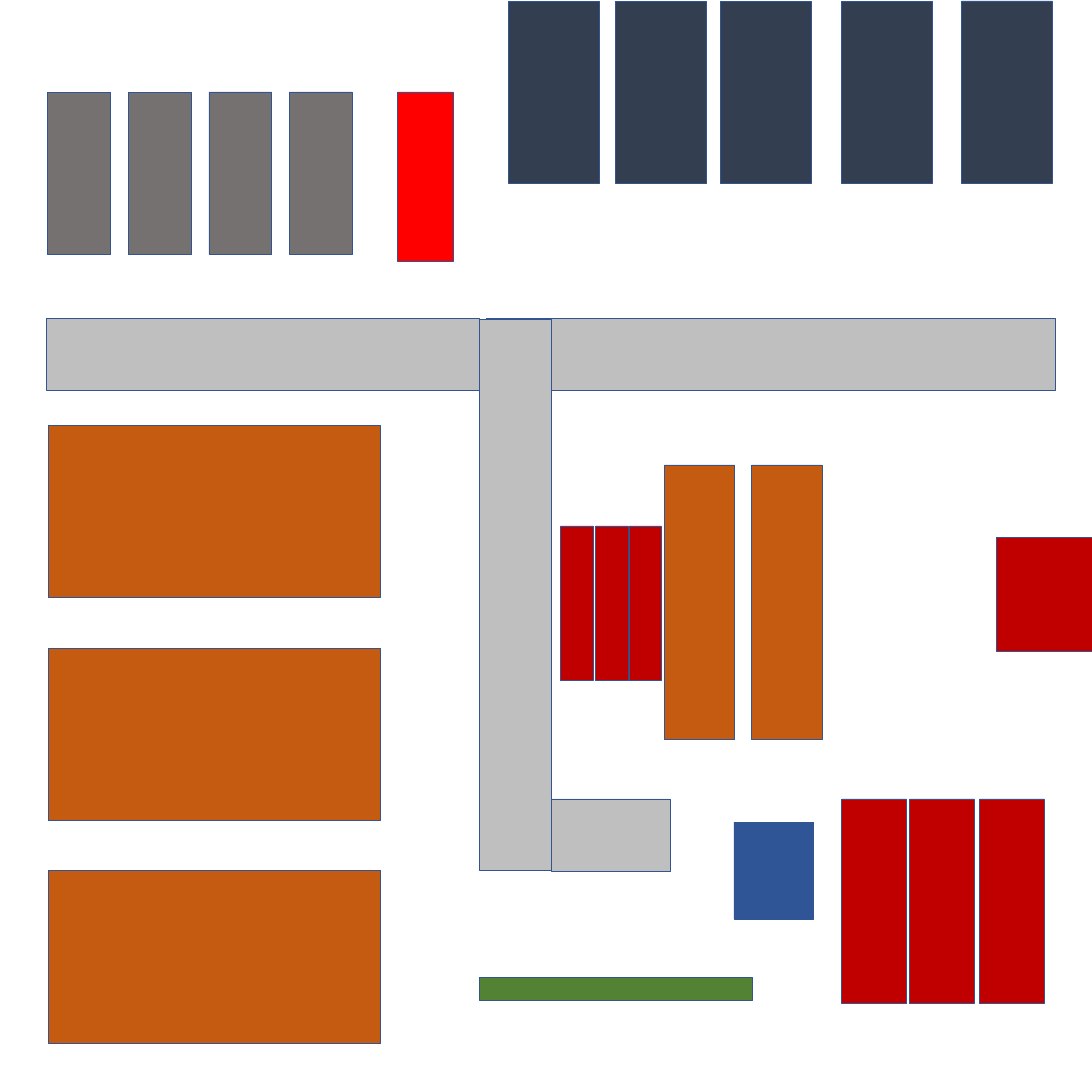
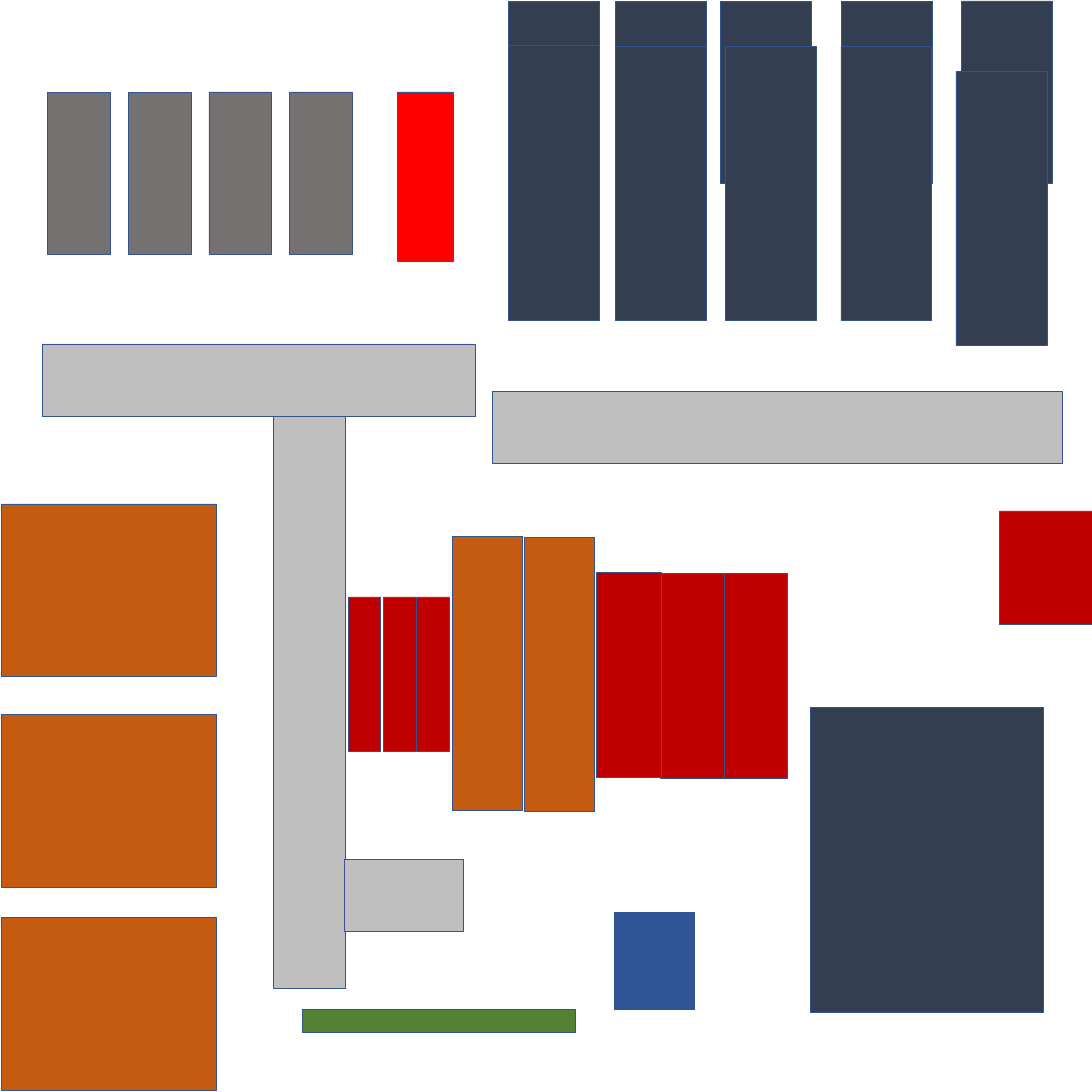
from pptx import Presentation
from pptx.dml.color import RGBColor
from pptx.enum.shapes import MSO_SHAPE
from pptx.util import Emu, Pt

RECTANGLE = MSO_SHAPE.RECTANGLE
PX = 9144
SLIDE_SIDE = 2400
BLANK_LAYOUT = 6

OUTLINE = RGBColor(0x32, 0x54, 0x91)
NAVY = RGBColor(0x33, 0x3F, 0x50)
ORANGE = RGBColor(0xC5, 0x5A, 0x11)
CRIMSON = RGBColor(0xC0, 0x00, 0x00)
RED = RGBColor(0xFF, 0x00, 0x00)
BLUE = RGBColor(0x2F, 0x55, 0x97)
GRAY = RGBColor(0x76, 0x71, 0x71)
GREEN = RGBColor(0x54, 0x82, 0x35)
AISLE_GRAY = RGBColor(0xBF, 0xBF, 0xBF)

NAVY_BAY = (200, 400)
DEEP_NAVY_BAY = (200, 603)
GRAY_BAY = (138, 357)
RED_BAY = (122, 372)
TALL_RACK = (155, 603)
NARROW_BAY = (71, 340)
WIDE_BAY = (142, 450)
DOCK = (210, 250)
BLUE_BOX = (175, 213)
GREEN_STRIP = (600, 50)
AISLE_WIDTH = 158
EAST_AISLE = (1252, AISLE_WIDTH)
WEST_AISLE = (951, AISLE_WIDTH)
SIDE_AISLE = (262, AISLE_WIDTH)


def px(value):
    return Emu(value * PX)


def add_blocks(slide, color, size, positions, rotation=0):
    width, height = size
    for left, top in positions:
        block = slide.shapes.add_shape(
            RECTANGLE, px(left), px(top), px(width), px(height))
        block.rotation = rotation
        block.shadow.inherit = False
        block.fill.solid()
        block.fill.fore_color.rgb = color
        block.line.color.rgb = OUTLINE
        block.line.width = Pt(1)


def add_top_rows(slide):
    navy_bays = [(left, 3) for left in (1353, 1583, 1849, 1118)]
    add_blocks(slide, NAVY, NAVY_BAY, navy_bays + [(2113, 2)])
    gray_bays = [(105 + 177 * i, 203 if i < 2 else 202) for i in range(4)]
    add_blocks(slide, GRAY, GRAY_BAY, gray_bays)
    add_blocks(slide, RED, RED_BAY, [(874, 202)])


def add_narrow_bays(slide, left, top):
    add_blocks(slide, CRIMSON, NARROW_BAY,
               [(left + offset, top) for offset in (0, 77, 150)])


def add_wide_racks(slide, left, tops, length):
    add_blocks(slide, ORANGE, (379, length),
               [(left, top) for top in tops], rotation=90)


def add_fixtures(slide, dock, blue_box, green_strip):
    add_blocks(slide, CRIMSON, DOCK, [dock])
    add_blocks(slide, BLUE, BLUE_BOX, [blue_box])
    add_blocks(slide, GREEN, GREEN_STRIP, [green_strip])


def add_aisles(slide, east, west, main_aisle, main_length, side):
    add_blocks(slide, AISLE_GRAY, EAST_AISLE, [east])
    add_blocks(slide, AISLE_GRAY, WEST_AISLE, [west])
    add_blocks(slide, AISLE_GRAY, (main_length, AISLE_WIDTH),
               [main_aisle], rotation=90)
    add_blocks(slide, AISLE_GRAY, SIDE_AISLE, [side])


def build_first_layout(slide):
    add_top_rows(slide)
    add_wide_racks(slide, 281, (759, 1249, 1738), 730)
    add_blocks(slide, ORANGE, TALL_RACK, [(1460, 1022), (1652, 1022)])
    add_narrow_bays(slide, 1232, 1156)
    add_blocks(slide, CRIMSON, WIDE_BAY,
               [(left, 1756) for left in (2153, 1999, 1850)])
    add_fixtures(slide, dock=(2190, 1182), blue_box=(1613, 1807),
                 green_strip=(1054, 2149))
    add_aisles(slide, east=(1068, 700), west=(102, 699),
               main_aisle=(527, 1229), main_length=1211, side=(1212, 1756))


def build_second_layout(slide):
    add_top_rows(slide)
    add_blocks(slide, ORANGE, TALL_RACK, [(994, 1179), (1152, 1181)])
    add_narrow_bays(slide, 766, 1312)
    add_blocks(slide, CRIMSON, WIDE_BAY,
               [(1589, 1261), (1451, 1261), (1311, 1258)])
    add_blocks(slide, NAVY, (510, 670), [(1782, 1554)])
    add_fixtures(slide, dock=(2196, 1123), blue_box=(1351, 2006),
                 green_strip=(664, 2219))
    add_aisles(slide, east=(1082, 860), west=(93, 756),
               main_aisle=(50, 1464), main_length=1258, side=(757, 1889))
    add_wide_racks(slide, 50, (1061, 1524, 1970), 472)
    deep_bays = [(left, 102) for left in (1352, 1594, 1848)]
    add_blocks(slide, NAVY, DEEP_NAVY_BAY,
               deep_bays + [(1118, 100), (2101, 157)])


def main():
    presentation = Presentation()
    presentation.slide_width = px(SLIDE_SIDE)
    presentation.slide_height = px(SLIDE_SIDE)
    layout = presentation.slide_layouts[BLANK_LAYOUT]
    for build in (build_first_layout, build_second_layout):
        build(presentation.slides.add_slide(layout))
    presentation.save("out.pptx")


if __name__ == "__main__":
    main()
